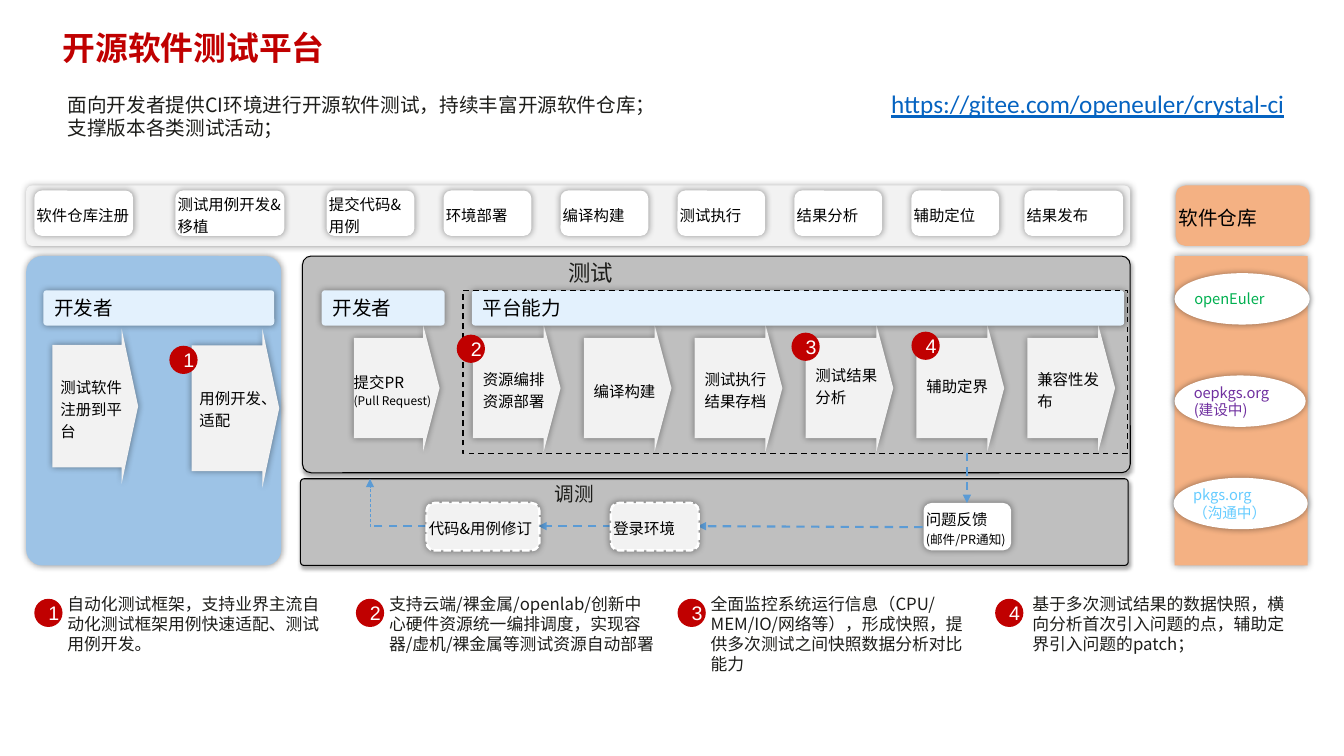
from dataclasses import dataclass
from typing import Any

from pptx import Presentation
from pptx.dml.color import RGBColor
from pptx.enum.dml import MSO_LINE
from pptx.enum.shapes import MSO_CONNECTOR, MSO_SHAPE
from pptx.enum.text import MSO_ANCHOR, MSO_AUTO_SIZE, PP_ALIGN
from pptx.oxml.xmlchemy import OxmlElement
from pptx.util import Inches, Pt

COLORS = {
    "red": "C00000", "ink": "1D1D1A", "black": "000000", "white": "FFFFFF",
    "pale": "F2F2F2", "grey": "BFBFBF", "blue": "9DC3E6", "header": "E3F1FD",
    "orange": "F4B183", "flow": "5B9BD5", "link": "0563C1", "green": "00B050",
    "purple": "7030A0", "sky": "66CCFF",
}
CJK = "Noto Sans CJK SC"


@dataclass(frozen=True)
class Box:
    left: float
    top: float
    width: float
    height: float

    def emu(self) -> list[int]:
        return [Inches(v) for v in (self.left, self.top, self.width, self.height)]


@dataclass(frozen=True)
class Style:
    size: float
    color: str = "black"
    spacing: float | None = None
    font: str = CJK
    bold: bool | None = None
    underline: bool | None = None
    align: PP_ALIGN = PP_ALIGN.LEFT


@dataclass(frozen=True)
class Shadow:
    alpha: int
    blur: float
    distance: float = 0
    angle: int = 0


@dataclass(frozen=True)
class Step:
    arrow: Box
    label: Box
    lines: tuple[str, ...]
    last_size: float | None = None


@dataclass(frozen=True)
class Flow:
    start: tuple[float, float]
    end: tuple[float, float]
    width: float = 1.5
    arrowhead: bool = True


LABEL = Style(11, spacing=1.2)
HEADER = Style(14)
NOTE = Style(12, "ink")
BADGE = Style(14, "white", font="Arial", align=PP_ALIGN.CENTER)
GLOW = Shadow(40, 5)
DROP = Shadow(35, 3.1, 1.8, 90)


def rgb(name: str) -> RGBColor:
    return RGBColor.from_string(COLORS[name])


def write(frame: Any, lines: tuple[str, ...], style: Style, last_size: float | None = None) -> None:
    frame.word_wrap = True
    for i, line in enumerate(lines):
        paragraph = frame.paragraphs[0] if i == 0 else frame.add_paragraph()
        paragraph.alignment = style.align
        paragraph.line_spacing = style.spacing
        run = paragraph.add_run()
        run.text = line
        font = run.font
        font.size = Pt(last_size if last_size and i == len(lines) - 1 else style.size)
        font.name, font.bold, font.underline = style.font, style.bold, style.underline
        font.color.rgb = rgb(style.color)
        east_asian = OxmlElement("a:ea")
        east_asian.set("typeface", style.font)
        run.font._element.append(east_asian)


def add_box(shapes: Any, kind: MSO_SHAPE, box: Box, fill: str | None, shadow: Shadow | None = GLOW,
            adjust: tuple[float, ...] = (), line: tuple[str, float, MSO_LINE] | None = None) -> Any:
    shape = shapes.add_shape(kind, *box.emu())
    for i, value in enumerate(adjust):
        shape.adjustments[i] = value
    if fill:
        shape.fill.solid()
        shape.fill.fore_color.rgb = rgb(fill)
    else:
        shape.fill.background()
    if line:
        shape.line.color.rgb = rgb(line[0])
        shape.line.width, shape.line.dash_style = Pt(line[1]), line[2]
    else:
        shape.line.fill.background()
    shape.shadow.inherit = False
    if shadow:
        outer = OxmlElement("a:outerShdw")
        outer.set("blurRad", str(Pt(shadow.blur)))
        outer.set("dist", str(Pt(shadow.distance)))
        outer.set("dir", str(shadow.angle * 60000))
        outer.set("rotWithShape", "0")
        color, alpha = OxmlElement("a:srgbClr"), OxmlElement("a:alpha")
        color.set("val", COLORS["black"])
        alpha.set("val", str(shadow.alpha * 1000))
        color.append(alpha)
        outer.append(color)
        shape._element.spPr.find("{*}effectLst").append(outer)
    return shape


def add_chip(shapes: Any, kind: MSO_SHAPE, box: Box, fill: str, lines: tuple[str, ...], style: Style = LABEL,
             last_size: float | None = None, line: tuple[str, float, MSO_LINE] | None = None) -> None:
    frame = add_box(shapes, kind, box, fill, line=line).text_frame
    frame.margin_left = frame.margin_right = frame.margin_top = frame.margin_bottom = 0
    frame.vertical_anchor = MSO_ANCHOR.MIDDLE
    write(frame, lines, style, last_size)


def add_text(shapes: Any, box: Box, lines: tuple[str, ...], style: Style, anchor: MSO_ANCHOR = MSO_ANCHOR.TOP,
             last_size: float | None = None) -> Any:
    frame = shapes.add_textbox(*box.emu()).text_frame
    frame.vertical_anchor = anchor
    frame.auto_size = MSO_AUTO_SIZE.SHAPE_TO_FIT_TEXT
    write(frame, lines, style, last_size)
    return frame


def add_step(shapes: Any, step: Step) -> None:
    group = shapes.add_group_shape()
    add_box(group.shapes, MSO_SHAPE.RIGHT_ARROW, step.arrow, "pale", adjust=(0.789, 0.193))
    add_text(group.shapes, step.label, step.lines, LABEL, MSO_ANCHOR.MIDDLE, step.last_size)


def add_badge(shapes: Any, left: float, top: float, number: int) -> None:
    frame = add_box(shapes, MSO_SHAPE.OVAL, Box(left, top, 0.28, 0.28), "red", None).text_frame
    frame.vertical_anchor = MSO_ANCHOR.MIDDLE
    write(frame, (str(number),), BADGE)


def add_flow(shapes: Any, flow: Flow) -> None:
    points = [Inches(v) for v in flow.start + flow.end]
    connector = shapes.add_connector(MSO_CONNECTOR.STRAIGHT, *points)
    connector.line.color.rgb = rgb("flow")
    connector.line.width, connector.line.dash_style = Pt(flow.width), MSO_LINE.DASH
    if flow.arrowhead:
        tail = OxmlElement("a:tailEnd")
        tail.set("type", "triangle")
        connector.line._get_or_add_ln().append(tail)
    connector._element.spPr.append(OxmlElement("a:effectLst"))


def place(placeholder: Any, box: Box, anchor: MSO_ANCHOR) -> Any:
    placeholder.left, placeholder.top, placeholder.width, placeholder.height = box.emu()
    placeholder.text_frame.vertical_anchor = anchor
    placeholder.text_frame.auto_size = MSO_AUTO_SIZE.NONE
    return placeholder.text_frame


def main() -> None:
    deck = Presentation()
    deck.slide_width, deck.slide_height = Inches(13.33), Inches(7.5)
    slide = deck.slides.add_slide(deck.slide_layouts[1])
    shapes = slide.shapes
    rounded = MSO_SHAPE.ROUNDED_RECTANGLE

    # Title, introduction and address
    title = place(shapes.title, Box(0.52, 0.19, 7.69, 0.57), MSO_ANCHOR.MIDDLE)
    write(title, ("开源软件测试平台",), Style(23.4, "red", bold=True))
    intro = place(slide.placeholders[1], Box(0.57, 0.87, 7.51, 0.88), MSO_ANCHOR.TOP)
    write(intro, ("面向开发者提供CI环境进行开源软件测试，持续丰富开源软件仓库；", "支撑版本各类测试活动；"), Style(14, "ink"))
    for paragraph in intro.paragraphs:
        paragraph.space_before = Pt(0)
        properties = paragraph._p.get_or_add_pPr()
        properties.set("marL", "0")
        properties.set("indent", "0")
        properties.append(OxmlElement("a:buNone"))
    address = add_text(shapes, Box(8.74, 0.83, 4.15, 0.4), ("https://gitee.com/openeuler/crystal-ci",),
                       Style(18, "link", font="Calibri", underline=True))
    address.word_wrap = False

    # Panels
    outline = ("black", 0.75, MSO_LINE.SOLID)
    add_box(shapes, rounded, Box(2.98, 4.75, 8.21, 0.86), "grey", DROP, (0.04,), outline)
    add_box(shapes, rounded, Box(3, 2.54, 8.21, 2.15), "grey", DROP, (0.04,), outline)
    add_box(shapes, rounded, Box(0.26, 2.54, 2.53, 3.07), "blue", adjust=(0.063,))
    add_box(shapes, rounded, Box(0.26, 1.84, 10.95, 0.6), "pale", adjust=(0.096,))
    add_box(shapes, MSO_SHAPE.RECTANGLE, Box(11.65, 2.54, 1.32, 3.07), "orange")
    add_text(shapes, Box(5.54, 2.52, 2.67, 0.37), ("测试",), Style(16, "ink"))
    add_text(shapes, Box(5.4, 4.73, 0.65, 0.34), ("调测",), Style(14, "ink"))

    # Process stages along the top
    middle_stages = ("提交代码&用例", "环境部署", "编译构建", "测试执行", "结果分析", "辅助定位")
    stages = [(0.34, 0.98, "软件仓库注册"), (1.74, 1.08, "测试用例开发&移植"), (10.16, 0.98, "结果发布")]
    stages += [(3.24 + 1.16 * i, 0.87, name) for i, name in enumerate(middle_stages)]
    for left, width, name in stages:
        add_chip(shapes, rounded, Box(left, 1.89, width, 0.45), "white", (name,))

    # Software repositories
    add_chip(shapes, rounded, Box(11.66, 1.84, 1.33, 0.6), "orange", ("软件仓库",), Style(14, spacing=1.2))
    repositories = [(11.65, 1.34, "green", ("openEuler",)), (11.65, 1.3, "purple", ("oepkgs.org", "(建设中)")),
                    (11.64, 1.33, "sky", ("pkgs.org", "（沟通中）"))]
    for i, (left, width, color, lines) in enumerate(repositories):
        add_chip(shapes, MSO_SHAPE.OVAL, Box(left, 2.71 + 1.015 * i, width, 0.51), "white", lines, Style(10.5, color))

    # Step arrows
    steps = [
        Step(Box(0.52, 3.26, 0.85, 1.54), Box(0.5, 3.66, 0.81, 0.77), ("测试软件注册到平台",)),
        Step(Box(1.9, 3.26, 0.87, 1.58), Box(1.88, 3.77, 0.83, 0.55), ("用例开发、适配",)),
        Step(Box(3.51, 3.22, 0.85, 1.26), Box(3.41, 3.61, 0.97, 0.49), ("提交PR", "(Pull Request)"), 8.5),
    ]
    abilities = [(3.58, 0.55, ("资源编排", "资源部署")), (3.7, 0.32, ("编译构建",)),
                 (3.58, 0.55, ("测试执行", "结果存档")), (3.54, 0.55, ("测试结果分析",)),
                 (3.65, 0.32, ("辅助定界",)), (3.58, 0.55, ("兼容性发布",))]
    for i, (top, height, lines) in enumerate(abilities):
        left = 4.69 + 1.1 * i
        steps.append(Step(Box(left, 3.22, 0.87, 1.26), Box(left, top, 0.83, height), lines))
    for step in steps:
        add_step(shapes, step)

    # Role headers and the frame around the platform
    for left, width, name in [(0.43, 2.29, "开发者"), (3.19, 1.22, "开发者"), (4.68, 6.47, "平台能力")]:
        header = add_box(shapes, rounded, Box(left, 2.88, width, 0.35), "header", adjust=(0.095,)).text_frame
        header.vertical_anchor = MSO_ANCHOR.MIDDLE
        write(header, (name,), HEADER)
    add_box(shapes, MSO_SHAPE.RECTANGLE, Box(4.59, 2.88, 6.59, 1.62), None, None, line=("black", 1, MSO_LINE.DASH))

    # Debugging loop
    add_chip(shapes, rounded, Box(9.16, 4.99, 0.87, 0.47), "white", ("问题反馈", "(邮件/PR通知)"), last_size=9)
    for flow in (Flow((9.59, 4.49), (9.59, 4.99)), Flow((9.15, 5.23), (6.92, 5.22)), Flow((6.06, 5.22), (5.34, 5.22)),
                 Flow((4.23, 5.22), (3.69, 5.22), arrowhead=False), Flow((3.67, 5.23), (3.67, 4.75), 0.5)):
        add_flow(shapes, flow)
    for left, width, name in [(4.23, 1.12, "代码&用例修订"), (6.06, 0.87, "登录环境")]:
        add_chip(shapes, rounded, Box(left, 4.99, width, 0.47), "pale", (name,),
                 line=("white", 1.75, MSO_LINE.SQUARE_DOT))

    # Numbered badges and their notes
    for number, (left, top) in enumerate([(1.68, 3.43), (4.53, 3.32), (7.85, 3.3), (9.04, 3.29)], 1):
        add_badge(shapes, left, top, number)
    notes = [(0.34, "自动化测试框架，支持业界主流自动化测试框架用例快速适配、测试用例开发。"),
             (3.53, "支持云端/裸金属/openlab/创新中心硬件资源统一编排调度，实现容器/虚机/裸金属等测试资源自动部署"),
             (6.72, "全面监控系统运行信息（CPU/MEM/IO/网络等），形成快照，提供多次测试之间快照数据分析对比能力"),
             (9.87, "基于多次测试结果的数据快照，横向分析首次引入问题的点，辅助定界引入问题的patch；")]
    for i, (left, note) in enumerate(notes):
        add_badge(shapes, left, 5.94, i + 1)
        add_text(shapes, Box(0.57 + 3.19 * i, 5.84, 2.85, 0.71), (note,), NOTE)

    deck.save("out.pptx")


if __name__ == "__main__":
    main()
